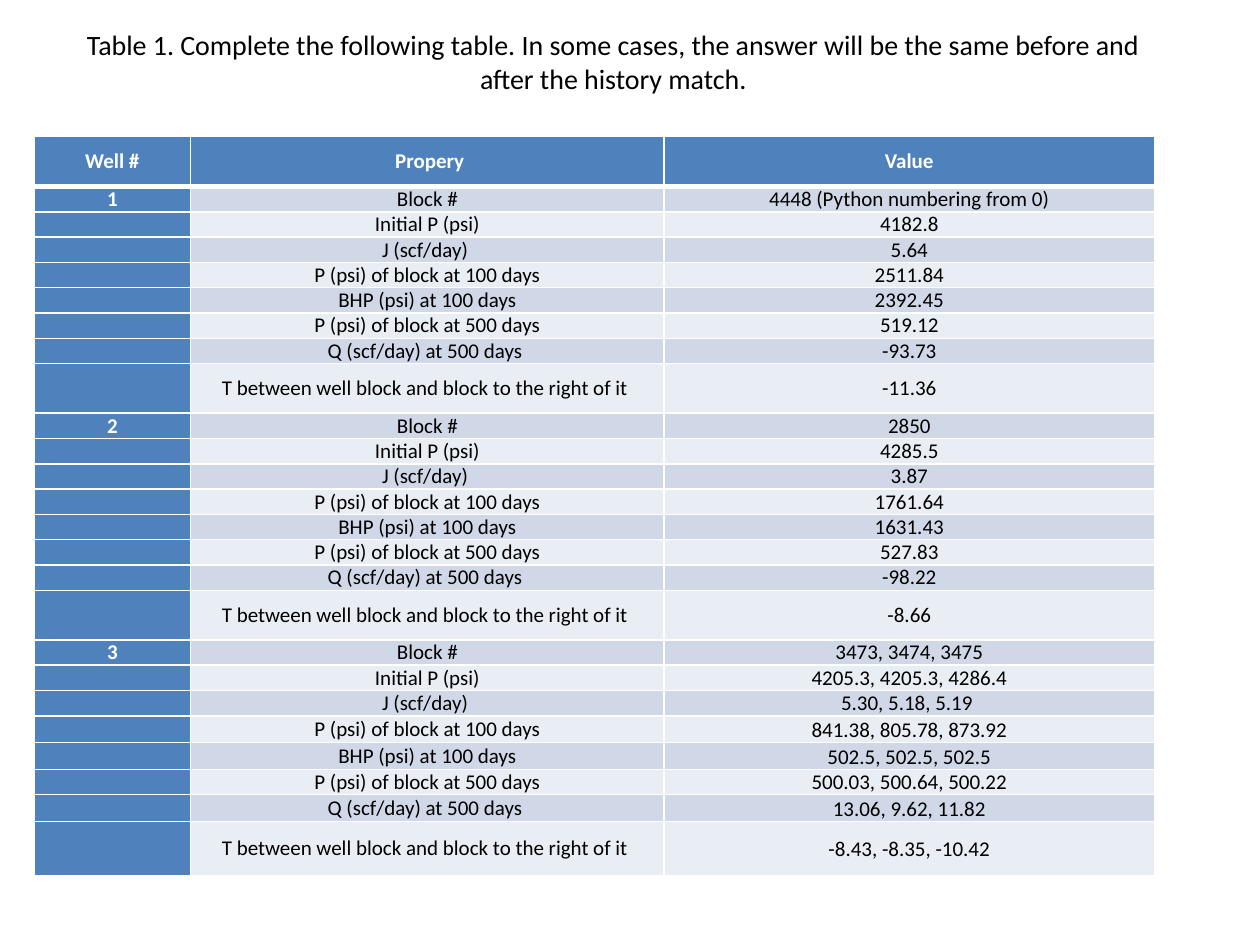
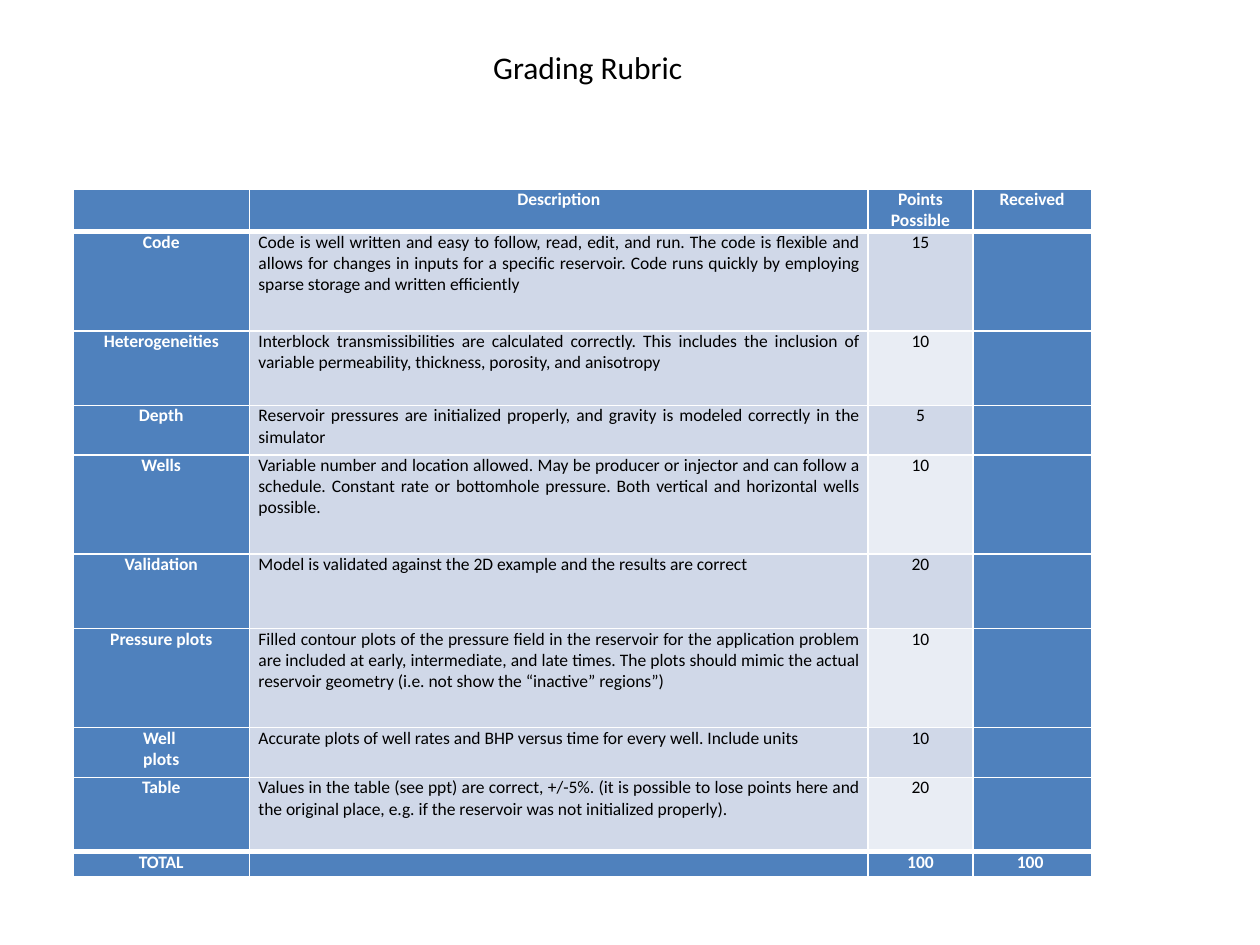
import dataclasses

import lxml.etree
import pptx
import pptx.dml.color
import pptx.enum.text
import pptx.oxml.ns
import pptx.util

Cm = pptx.util.Cm
Pt = pptx.util.Pt
ALIGN = pptx.enum.text.PP_ALIGN
ANCHOR = pptx.enum.text.MSO_ANCHOR


@dataclasses.dataclass(frozen=True)
class Theme:
    """Colours, type sizes and line weights shared by the slides."""
    font: str = "Calibri"
    blue: str = "4F81BD"
    bands: tuple = ("D0D8E8", "E9EDF4")
    white: str = "FFFFFF"
    black: str = "000000"
    thin: float = 1
    thick: float = 3
    wells_title: float = 16
    rubric_title: float = 18
    wells_text: float = 12
    rubric_text: float = 10


THEME = Theme()

# Content
WELLS_TITLE = ("Table 1. Complete the following table. In some cases, the answer "
               "will be the same before and after the history match.")
WELLS_HEADER = ("Well #", "\u00a0Propery", "Value")
PROPERTIES = (
    "Block #",
    "Initial P (psi)",
    "J (scf/day) ",
    "P (psi) of block at 100 days",
    "BHP (psi) at 100 days",
    "P (psi) of block at 500 days",
    "Q (scf/day) at 500 days ",
    "T between well block and block to the right of it ",
)
WELL_VALUES = {
    "1": ("4448 (Python numbering from 0)", "4182.8", "5.64", "2511.84",
          "2392.45", "519.12", "-93.73", "-11.36"),
    "2": ("2850", "4285.5", "3.87", "1761.64",
          "1631.43", "527.83", "-98.22", "-8.66"),
    "3": ("3473, 3474, 3475", "4205.3, 4205.3, 4286.4", "5.30, 5.18, 5.19 ",
          "841.38, 805.78, 873.92", "502.5, 502.5, 502.5",
          "500.03, 500.64, 500.22", "13.06, 9.62, 11.82", "-8.43, -8.35, -10.42"),
}
WELL_COLUMNS = (3.15, 9.55, 9.88)
WELL_HEADER_HEIGHT = 1.02
WELL_HEIGHTS = (0.51,) * 7 + (1.0,)
LAST_WELL_HEIGHTS = (0.51, 0.51, 0.51, 0.54, 0.54, 0.51, 0.54, 1.09)

RUBRIC_TITLE = "Grading Rubric"
RUBRIC_HEADER = ("", "Description", "Points Possible", "Received")
# Criterion, description, points, height in text lines
CRITERIA = (
    ("Code", "Code is well written and easy to follow, read, edit, and run. The code "
     "is flexible and allows for changes in inputs for a specific reservoir. Code runs "
     "quickly by employing sparse storage and written efficiently", "15", 4),
    ("Heterogeneities", "Interblock transmissibilities are calculated correctly. This "
     "includes the inclusion of variable permeability, thickness, porosity, and "
     "anisotropy", "10", 3),
    ("Depth", "Reservoir pressures are initialized properly, and gravity is modeled "
     "correctly in the simulator", "5", 2),
    ("Wells", "Variable number and location allowed. May be producer or injector and "
     "can follow a schedule. Constant rate or bottomhole pressure. Both vertical and "
     "horizontal wells possible. ", "10", 4),
    ("Validation", "Model is validated against the 2D example and the results are "
     "correct", "20", 3),
    ("Pressure plots", "Filled contour plots of the pressure field in the reservoir for "
     "the application problem are included at early, intermediate, and late times. The "
     "plots should mimic the actual reservoir geometry (i.e. not show the "
     "\u201cinactive\u201d regions\u201d)", "10", 4),
    ("Well \nplots", "Accurate plots of well rates and BHP versus time for every well. "
     "Include units", "10", 2),
    ("Table", "Values in the table (see ppt) are correct, +/-5%. (it is possible to lose "
     "points here and the original place, e.g. if the reservoir was not initialized "
     "properly).", "20", 3),
)
RUBRIC_TOTAL = ("TOTAL", "", "100", "100\u00a0")
RUBRIC_COLUMNS = (3.56, 12.47, 2.11, 2.39)
RUBRIC_HEADER_HEIGHT = 0.86
RUBRIC_LINE = 0.5


def rgb(value):
    """Turn a hex string into a colour."""
    return pptx.dml.color.RGBColor.from_string(value)


def style_paragraph(paragraph, size, colour, bold=False, align=ALIGN.CENTER):
    """Format a paragraph and its runs; an empty one keeps its type size."""
    paragraph.alignment = align
    for run in paragraph.runs:
        run.font.name = THEME.font
        run.font.size = Pt(size)
        run.font.bold = bold
        run.font.color.rgb = rgb(colour)
    if not paragraph.runs:
        end = lxml.etree.SubElement(paragraph._p, pptx.oxml.ns.qn("a:endParaRPr"))
        end.set("sz", str(int(size * 100)))


def add_titled_slide(presentation, text, size, box):
    """Add a Title Only slide with its title placed in box."""
    slide = presentation.slides.add_slide(presentation.slide_layouts[5])
    title = slide.shapes.title
    title.left, title.top, title.width, title.height = (Cm(length) for length in box)
    frame = title.text_frame
    frame.text = text
    frame.word_wrap = True
    frame.vertical_anchor = ANCHOR.TOP
    frame.auto_size = pptx.enum.text.MSO_AUTO_SIZE.SHAPE_TO_FIT_TEXT
    style_paragraph(frame.paragraphs[0], size, THEME.black)
    return slide


def set_borders(cell, top, bottom):
    """Draw white lines on all four sides of a cell."""
    properties = cell._tc.get_or_add_tcPr()
    qn = pptx.oxml.ns.qn
    for side, width in (("L", THEME.thin), ("R", THEME.thin), ("T", top), ("B", bottom)):
        line = lxml.etree.SubElement(properties, qn("a:ln" + side), w=str(Pt(width)))
        fill = lxml.etree.SubElement(line, qn("a:solidFill"))
        lxml.etree.SubElement(fill, qn("a:srgbClr"), val=THEME.white)


def add_grid(slide, left, top, widths, heights, rows, size, fill_of,
             anchor=ANCHOR.TOP, justified=None, total=False):
    """Add a table; fill_of(row, column) gives each cell's colour."""
    frame = slide.shapes.add_table(len(rows), len(widths), Cm(left), Cm(top),
                                   Cm(sum(widths)), Cm(sum(heights)))
    table = frame.table
    for column, width in zip(table.columns, widths):
        column.width = Cm(width)
    thick_rules = {1, len(rows) - 1} if total else {1}
    for row_number, (texts, height) in enumerate(zip(rows, heights)):
        table.rows[row_number].height = Cm(height)
        edges = [THEME.thick if edge in thick_rules else THEME.thin
                 for edge in (row_number, row_number + 1)]
        for column_number, text in enumerate(texts):
            cell = table.cell(row_number, column_number)
            fill = fill_of(row_number, column_number)
            set_borders(cell, *edges)
            cell.fill.solid()
            cell.fill.fore_color.rgb = rgb(fill)
            cell.margin_left = cell.margin_right = Cm(0.18)
            cell.margin_top = cell.margin_bottom = 0
            cell.vertical_anchor = anchor
            cell.text_frame.text = text
            strong = fill == THEME.blue
            align = (ALIGN.JUSTIFY if column_number == justified and not strong
                     else ALIGN.CENTER)
            for paragraph in cell.text_frame.paragraphs:
                style_paragraph(paragraph, size, THEME.white if strong else THEME.black,
                                strong, align)
    return table


def build_wells(presentation):
    """Slide with the properties of each well."""
    slide = add_titled_slide(presentation, WELLS_TITLE, THEME.wells_title,
                             (1.47, 0.43, 21.79, 1.63))
    rows = [WELLS_HEADER]
    for well, values in WELL_VALUES.items():
        for index, (name, value) in enumerate(zip(PROPERTIES, values)):
            rows.append((well if index == 0 else "", name, value))
    heights = (WELL_HEADER_HEIGHT,) + WELL_HEIGHTS * 2 + LAST_WELL_HEIGHTS

    def fill_of(row, column):
        """Blue header and first column, banded body."""
        return THEME.blue if row == 0 or column == 0 else THEME.bands[(row - 1) % 2]

    table = add_grid(slide, 0.69, 2.74, WELL_COLUMNS, heights, rows, THEME.wells_text,
                     fill_of, anchor=ANCHOR.MIDDLE)
    for row in (20, 21, 23, 24):
        cell = table.cell(row, 2)
        cell.margin_left = cell.margin_right = cell.margin_top = Cm(0.03)


def build_rubric(presentation):
    """Slide with the grading criteria and their points."""
    slide = add_titled_slide(presentation, RUBRIC_TITLE, THEME.rubric_title,
                             (0.84, 0.84, 22.02, 1.02))
    rows = [RUBRIC_HEADER]
    rows += [(name, description, points, "") for name, description, points, _ in CRITERIA]
    rows.append(RUBRIC_TOTAL)
    heights = [RUBRIC_HEADER_HEIGHT]
    heights += [lines * RUBRIC_LINE for *_, lines in CRITERIA] + [RUBRIC_LINE]

    def fill_of(row, column):
        """Blue frame, plain descriptions and banded points."""
        if row in (0, len(rows) - 1) or column in (0, 3):
            return THEME.blue
        return THEME.bands[(row - 1) % 2 if column == 2 else 0]

    add_grid(slide, 1.47, 3.81, RUBRIC_COLUMNS, heights, rows, THEME.rubric_text,
             fill_of, justified=1, total=True)


def main():
    """Build and save the presentation."""
    presentation = pptx.Presentation()
    presentation.slide_width = Cm(25.4)
    presentation.slide_height = Cm(19.05)
    build_wells(presentation)
    build_rubric(presentation)
    presentation.save("out.pptx")


main()
